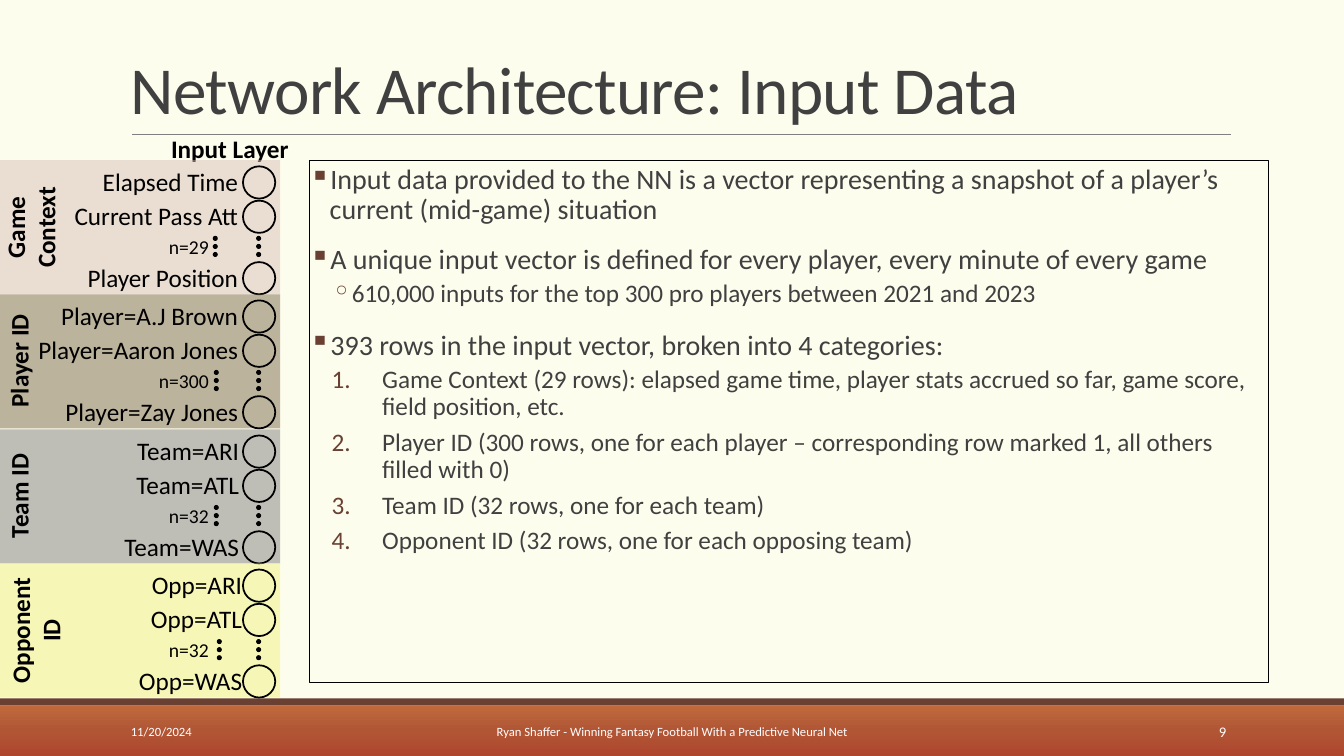
import copy

import pptx
import pptx.dml.color
import pptx.enum.shapes
import pptx.enum.text
import pptx.oxml
import pptx.oxml.ns
import pptx.util
from lxml import etree

RGB = pptx.dml.color.RGBColor
Pt = pptx.util.Pt
Shape = pptx.enum.shapes.MSO_SHAPE
Align = pptx.enum.text.PP_ALIGN
Anchor = pptx.enum.text.MSO_ANCHOR
qn = pptx.oxml.ns.qn

PX = 9144  # EMU per px, 100 px to the inch
WIDE, HIGH = 1333, 750

CREAM = RGB(0xFD, 0xFD, 0xEE)
BLACK = RGB(0, 0, 0)
WHITE = RGB(0xFF, 0xFF, 0xFF)
DARK = RGB(0x40, 0x40, 0x40)
GRAY = RGB(0x80, 0x80, 0x80)
BROWN = RGB(0x69, 0x40, 0x32)
ROSE = RGB(0xD8, 0xBF, 0xB6)
TAN = RGB(0x7C, 0x6B, 0x4D)
LEMON = RGB(0xF0, 0xF0, 0x80)
RUST = [(0, RGB(0xBF, 0x69, 0x3C)), (0.5, RGB(0xB1, 0x56, 0x35)),
        (1, RGB(0xAE, 0x45, 0x2D))]

# label, fill, label centre, label height, names, count, name edge, dots left
BANDS = [
    ("Game Context", ROSE, 30, 71,
     ("Elapsed Time", "Current Pass Att", "Player Position"), "n=29", 246, 211),
    ("Player ID", TAN, 18, 40,
     ("Player=A.J Brown", "Player=Aaron Jones", "Player=Zay Jones"), "n=300", 246, 212),
    ("Team ID", GRAY, 18, 40,
     ("Team=ARI", "Team=ATL", "Team=WAS"), "n=32", 247, 212),
    ("Opponent ID", LEMON, 35, 71,
     ("Opp=ARI", "Opp=ATL", "Opp=WAS"), "n=32", 250, 215),
]

# bullet kind, text
POINTS = [
    ("main", "Input data provided to the NN is a vector representing a snapshot "
             "of a player’s current (mid-game) situation"),
    ("main", "A unique input vector is defined for every player, every minute of every game"),
    ("sub", "610,000 inputs for the top 300 pro players between 2021 and 2023"),
    ("main", "393 rows in the input vector, broken into 4 categories:"),
    ("step", "Game Context (29 rows): elapsed game time, player stats accrued so far, "
             "game score, field position, etc."),
    ("step", "Player ID (300 rows, one for each player – corresponding row marked 1, "
             "all others filled with 0)"),
    ("step", "Team ID (32 rows, one for each team)"),
    ("step", "Opponent ID (32 rows, one for each opposing team)"),
]
# size, left margin, hang, space before, space after, bullet tag, bullet value
KINDS = {
    "main": (20, 20, 20, 12, 2, "buChar", {"char": "▪"}),
    "sub": (18, 42, 20, 2, 4, "buChar", {"char": "◦"}),
    "step": (18, 72, 50, 2, 4, "buAutoNum", {"type": "arabicPeriod"}),
}


def style(item, values):
    for key, value in values.items():
        setattr(item, key, value)


def place(box):
    return [n * PX for n in box]


def write(para, text, size, color=BLACK, bold=False):
    run = para.add_run()
    run.text = text
    style(run.font, {"name": "Calibri", "size": Pt(size), "bold": bold})
    run.font.color.rgb = color
    return run


def label(slide, box, text, size, color=BLACK, bold=False,
          align=Align.LEFT, anchor=Anchor.TOP):
    area = slide.shapes.add_textbox(*place(box))
    style(area.text_frame, {"word_wrap": True, "vertical_anchor": anchor})
    para = area.text_frame.paragraphs[0]
    para.alignment = align
    write(para, text, size, color, bold)
    return area


def block(slide, kind, box, fill=None, line=None):
    part = slide.shapes.add_shape(kind, *place(box))
    part.shadow.inherit = False
    if fill is None:
        part.fill.background()
    else:
        part.fill.solid()
        part.fill.fore_color.rgb = fill
    if line is None:
        part.line.fill.background()
    else:
        part.line.color.rgb = BLACK
        part.line.width = Pt(line)
    return part


def dots(slide, left, top):
    for row in range(3):
        block(slide, Shape.OVAL, (left, top + row * 8, 5, 5), BLACK)


def title(slide, box):
    left, top, width, height = box
    head = label(slide, box, "Network Architecture: Input Data", 48, DARK,
                 anchor=Anchor.BOTTOM)
    para = head.text_frame.paragraphs[0]
    para.line_spacing = 0.85
    para.runs[0].font._element.set("spc", "-50")
    # Rule under the title
    y = top + height + 1
    rule = slide.shapes.add_connector(
        pptx.enum.shapes.MSO_CONNECTOR.STRAIGHT,
        *place((left + 11, y, left + 1101, y)))
    rule.line.color.rgb = GRAY
    rule.line.width = Pt(0.5)
    etree.SubElement(rule.element.spPr, qn("a:effectLst"))


def band(slide, box, data):
    left, top, width, height = box
    text, fill, mid, deep, names, count, edge, side = data
    back = block(slide, Shape.RECTANGLE, box, fill)
    tint = back.element.spPr.find(".//" + qn("a:srgbClr"))
    etree.SubElement(tint, qn("a:alpha"), val="50000")
    # Nodes and their names
    for name, drop in zip(names, (6, 40, 101)):
        block(slide, Shape.OVAL, (left + 241, top + drop, 32, 32), line=1.25)
        label(slide, (left + 20, top + drop - 5, edge - 20, 40), name, 18,
              align=Align.RIGHT)
    # Count of the nodes left out
    label(slide, (left + 131, top + 69, 86, 34), count, 14, align=Align.RIGHT)
    dots(slide, left + side, top + 75)
    dots(slide, left + 254, top + 75)
    # Upright label
    tag = label(slide, (left + mid - height // 2, top + (height - deep) // 2,
                        height, deep), text, 18, bold=True, align=Align.CENTER)
    tag.rotation = 270


def layer(slide, box):
    left, top, width, height = box
    label(slide, (left + 155, top - 32, 146, 40), "Input Layer", 18, bold=True,
          align=Align.CENTER)
    for row, data in enumerate(BANDS):
        y = top + row * height // len(BANDS)
        band(slide, (left, y, width, 133), data)


def body(slide, box):
    area = block(slide, Shape.RECTANGLE, box, line=1)
    frame = area.text_frame
    style(frame, {"word_wrap": True, "vertical_anchor": Anchor.TOP,
                  "margin_left": 0, "margin_right": 0,
                  "margin_top": 5 * PX, "margin_bottom": 5 * PX})
    for row, (kind, text) in enumerate(POINTS):
        size, margin, hang, before, after, tag, value = KINDS[kind]
        para = frame.add_paragraph() if row else frame.paragraphs[0]
        props = para._p.get_or_add_pPr()
        props.set("marL", str(margin * PX))
        props.set("indent", str(-hang * PX))
        tint = etree.SubElement(props, qn("a:buClr"))
        etree.SubElement(tint, qn("a:srgbClr"), val=str(BROWN))
        etree.SubElement(props, qn("a:" + tag), value)
        style(para, {"alignment": Align.LEFT, "line_spacing": 0.9,
                     "level": 0 if kind == "main" else 1,
                     "space_before": Pt(before if row else 0),
                     "space_after": Pt(after)})
        write(para, text, size, DARK)


def footer(slide, box):
    left, top, width, height = box
    bar = block(slide, Shape.RECTANGLE, box, BROWN)
    bar.fill.gradient()
    bar.fill.gradient_angle = 270
    first = bar.element.spPr.find(".//" + qn("a:gs"))
    first.addnext(copy.deepcopy(first))
    for stop, (spot, color) in zip(bar.fill.gradient_stops, RUST):
        stop.position = spot
        stop.color.rgb = color
    block(slide, Shape.RECTANGLE, (left, top - 7, width, 7), BROWN)
    for x, wide, text, size, align in (
            (120, 270, "11/20/2024", 9, Align.LEFT),
            (403, 527, "Ryan Shaffer - Winning Fantasy Football With a Predictive Neural Net",
             9, Align.CENTER),
            (1083, 143, "9", 10.5, Align.RIGHT)):
        label(slide, (left + x, top + 6, wide, 40), text, size, WHITE,
              align=align, anchor=Anchor.MIDDLE)


def main():
    deck = pptx.Presentation()
    style(deck, {"slide_width": WIDE * PX, "slide_height": HIGH * PX})
    slide = deck.slides.add_slide(deck.slide_layouts[6])
    slide.background.fill.solid()
    slide.background.fill.fore_color.rgb = CREAM
    footer(slide, (0, 700, WIDE, 50))
    title(slide, (120, 31, 1100, 101))
    layer(slide, (0, 159, 278, 534))
    body(slide, (307, 159, 951, 518))
    deck.save("out.pptx")


if __name__ == "__main__":
    main()
